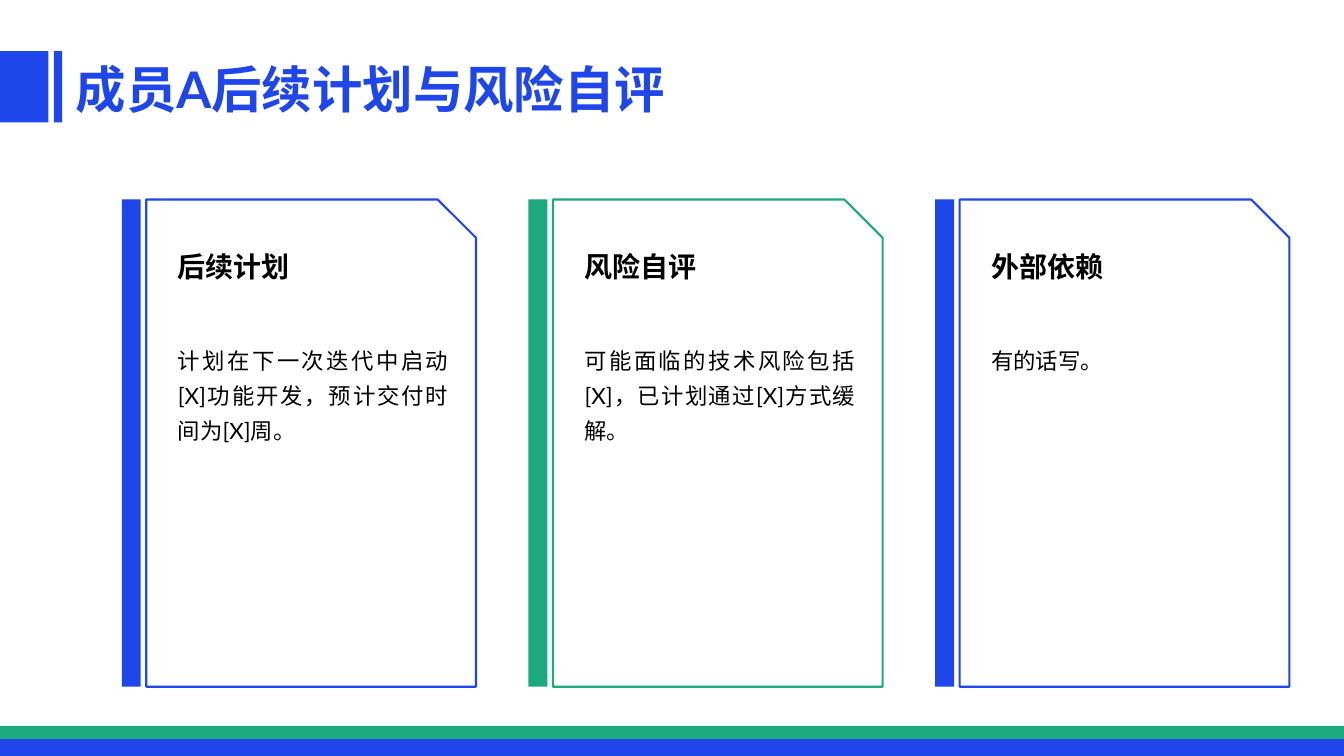
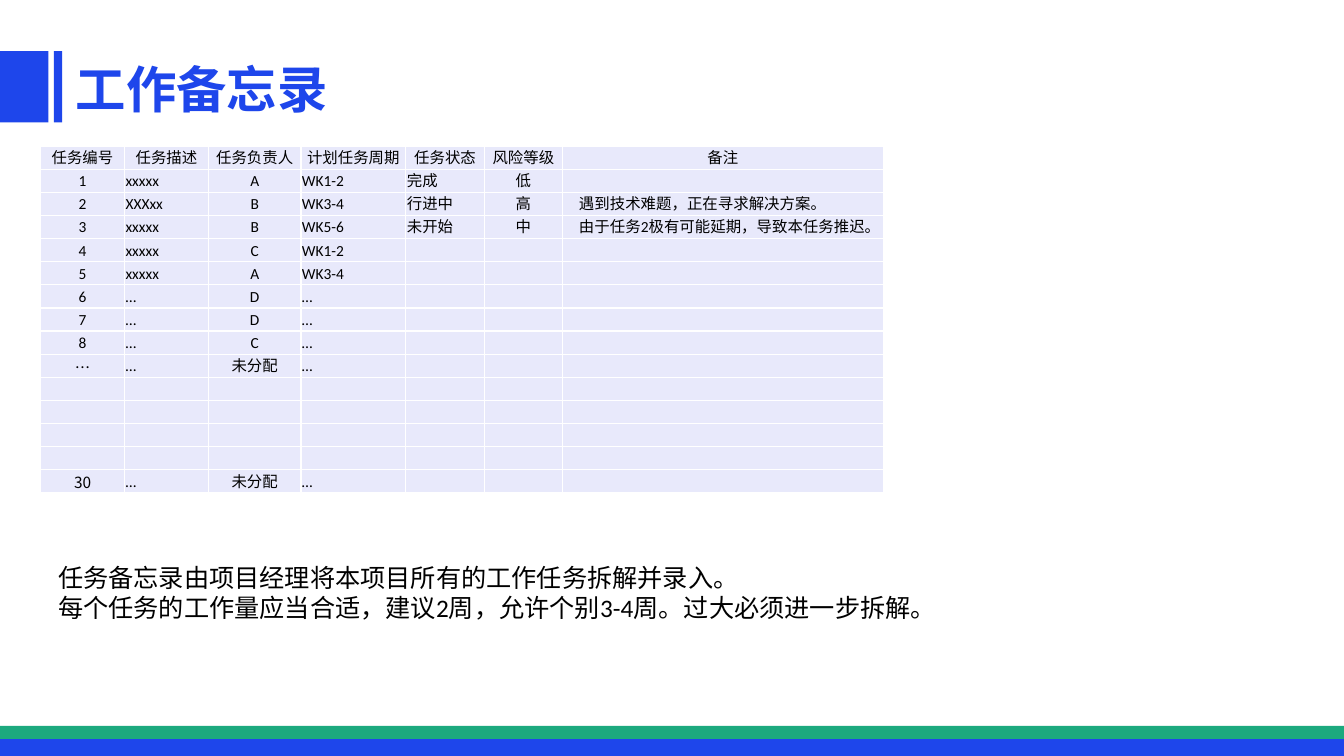
from lxml import etree
from pptx import Presentation
from pptx.dml.color import RGBColor
from pptx.enum.shapes import MSO_SHAPE
from pptx.enum.text import MSO_ANCHOR, MSO_AUTO_SIZE, PP_ALIGN
from pptx.oxml.ns import qn
from pptx.util import Pt

RECT, SNIP = MSO_SHAPE.RECTANGLE, MSO_SHAPE.SNIP_1_RECTANGLE
LEFT, CENTER, JUSTIFY = PP_ALIGN.LEFT, PP_ALIGN.CENTER, PP_ALIGN.JUSTIFY
MIDDLE = MSO_ANCHOR.MIDDLE
GROW = MSO_AUTO_SIZE.SHAPE_TO_FIT_TEXT

COLORS = {"blue": "1E46EB", "green": "1CA97E", "white": "FFFFFF",
          "black": "000000", "cell": "E8E9FB"}
WIDTH, HEIGHT = 960, 540
HEAD_FONT, TABLE_FONT, CJK_FONT = "Lato", "Calibri", "Noto Sans CJK SC"


def rgb(name):
    return RGBColor.from_string(COLORS[name])


def write(p, text, font=HEAD_FONT, size=16, color="black", bold=False,
          align=LEFT, spacing=None):
    p.alignment = align
    if spacing:
        p.line_spacing = spacing
    if not text:
        etree.SubElement(p._p, qn("a:endParaRPr"), sz=str(size * 100))
        return
    r = p.add_run()
    r.text = text
    r.font.size = Pt(size)
    r.font.bold = bold
    r.font.color.rgb = rgb(color)
    r.font.name = font
    etree.SubElement(r._r.get_or_add_rPr(), qn("a:ea"), typeface=font)


class Deck:
    def __init__(self):
        self.prs = Presentation()
        self.prs.slide_width, self.prs.slide_height = Pt(WIDTH), Pt(HEIGHT)
        self.s = None

    def slide(self, title):
        self.s = self.prs.slides.add_slide(self.prs.slide_layouts[6])
        self.text(47, 38, 878, 43, [title], size=36, color="blue", bold=True)
        self.shape(0, 518.5, WIDTH, 12, "green")
        self.shape(0, 528, WIDTH, 12, "blue")
        self.shape(0, 36.5, 34.5, 51, "blue")
        self.shape(38.5, 36.5, 6, 51, "blue")

    def shape(self, x, y, w, h, fill, kind=RECT, line=None):
        sp = self.s.shapes.add_shape(kind, Pt(x), Pt(y), Pt(w), Pt(h))
        sp.shadow.inherit = False
        sp.fill.solid()
        sp.fill.fore_color.rgb = rgb(fill)
        if line:
            sp.line.color.rgb = rgb(line)
            sp.line.width = Pt(1.5)
        else:
            sp.line.fill.background()
        return sp

    def text(self, x, y, w, h, lines, wrap=True, **fmt):
        tf = self.s.shapes.add_textbox(Pt(x), Pt(y), Pt(w), Pt(h)).text_frame
        tf.word_wrap = wrap
        tf.auto_size = GROW
        for i, line in enumerate(lines):
            write(tf.add_paragraph() if i else tf.paragraphs[0], line, **fmt)

    def card(self, x, color, heading, body):
        top, height = 142.5, 348
        self.shape(x, top, 13.5, height, color)
        sp = self.shape(x + 17.5, top, 235.5, height, "white", SNIP, color)
        sp.adjustments[0] = 0.116
        self.text(x + 33, 175, 207.5, 24, [heading], size=20, bold=True, align=JUSTIFY)
        self.text(x + 33, 239, 207.5, 75, [body], align=JUSTIFY, spacing=1.3)

    def table(self, x, y, widths, row_height, rows, centered, indented):
        frame = self.s.shapes.add_table(len(rows), len(widths), Pt(x), Pt(y),
                                        Pt(sum(widths)), Pt(row_height * len(rows)))
        table = frame.table
        table.first_row = table.horz_banding = False
        for column, width in zip(table.columns, widths):
            column.width = Pt(width)
        for i, row in enumerate(rows):
            table.rows[i].height = Pt(row_height)
            for j in range(len(widths)):
                text = row[j] if j < len(row) else ""
                align = CENTER if i == 0 or j in centered else LEFT
                font = CJK_FONT if j == 0 and text in ("…", "30") else TABLE_FONT
                cell = table.cell(i, j)
                self.style_cell(cell)
                p = cell.text_frame.paragraphs[0]
                write(p, text, font=font, size=11, align=align)
                if i and j in indented:
                    p._p.get_or_add_pPr().set("marL", str(Pt(11)))

    def style_cell(self, cell):
        cell.margin_left = cell.margin_right = cell.margin_top = Pt(0.7)
        cell.margin_bottom = 0
        cell.vertical_anchor = MIDDLE
        cell.fill.solid()
        cell.fill.fore_color.rgb = rgb("cell")
        tc_pr = cell._tc.get_or_add_tcPr()
        for i, side in enumerate(("lnL", "lnR", "lnT", "lnB")):
            ln = etree.Element(qn("a:" + side), w=str(Pt(1)))
            fill = etree.SubElement(ln, qn("a:solidFill"))
            etree.SubElement(fill, qn("a:srgbClr"), val=COLORS["white"])
            tc_pr.insert(i, ln)


CARDS = [
    ("blue", "后续计划", "计划在下一次迭代中启动[X]功能开发，预计交付时间为[X]周。"),
    ("green", "风险自评", "可能面临的技术风险包括[X]，已计划通过[X]方式缓解。"),
    ("blue", "外部依赖", "有的话写。"),
]
TASKS = [
    ("任务编号", "任务描述", "任务负责人", "计划任务周期", "任务状态", "风险等级", "备注"),
    ("1", "xxxxx", "A", "WK1-2", "完成", "低"),
    ("2", "XXXxx", "B", "WK3-4", "行进中", "高", "遇到技术难题，正在寻求解决方案。"),
    ("3", "xxxxx", "B", "WK5-6", "未开始", "中", "由于任务2极有可能延期，导致本任务推迟。"),
    ("4", "xxxxx", "C", "WK1-2"),
    ("5", "xxxxx", "A", "WK3-4"),
    ("6", "…", "D", "…"),
    ("7", "…", "D", "…"),
    ("8", "…", "C", "…"),
    ("…", "…", "未分配", "…"),
    *[()] * 4,
    ("30", "…", "未分配", "…"),
]
NOTES = [
    "任务备忘录由项目经理将本项目所有的工作任务拆解并录入。",
    "每个任务的工作量应当合适，建议2周，允许个别3-4周。过大必须进一步拆解。",
]


def main():
    deck = Deck()
    deck.slide("成员A后续计划与风险自评")
    for i, card in enumerate(CARDS):
        deck.card(87 + 290.5 * i, *card)

    deck.slide("工作备忘录")
    deck.table(29, 104.5, [60, 60, 66, 75, 56, 56, 229], 16.5, TASKS,
               centered=(0, 2, 5), indented=(6,))
    deck.text(34.5, 398, 656, 51, NOTES, wrap=False, font=TABLE_FONT, size=18)
    deck.prs.save("out.pptx")


if __name__ == "__main__":
    main()
